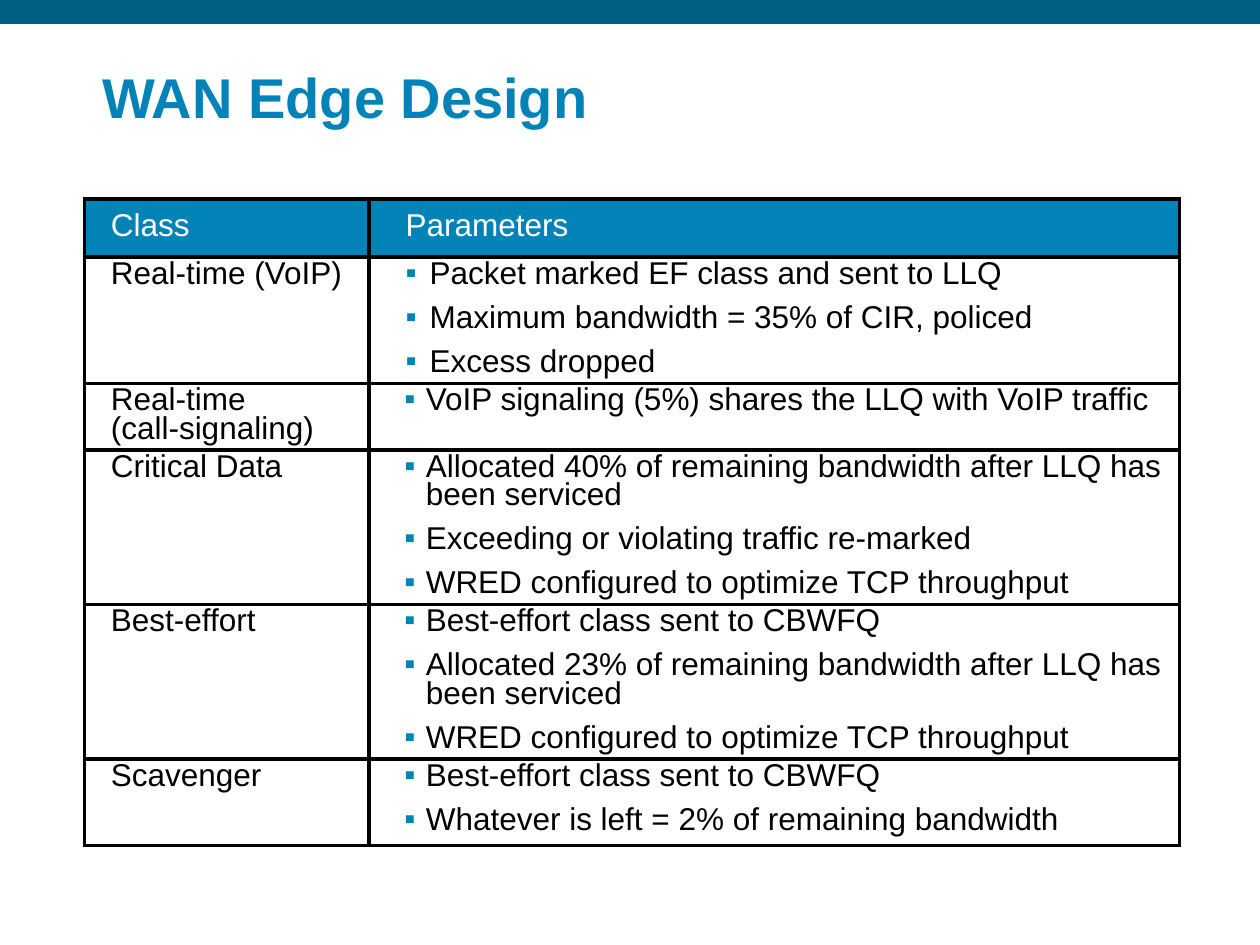
from dataclasses import dataclass

from lxml import etree
from pptx import Presentation, util as u
from pptx.dml.color import RGBColor
from pptx.enum import shapes, text
from pptx.oxml import ns


@dataclass(frozen=True)
class Theme:
    bar: str = "015F85"
    accent: str = "0183B7"
    ink: str = "000000"
    paper: str = "FFFFFF"
    font: str = "Arial"
    title_size: int = 32
    body_size: int = 18
    border_width: float = 2.25


@dataclass(frozen=True)
class TrafficClass:
    name: str
    parameters: tuple[str, ...]
    height: float
    margin: float = 0.36
    hanging: float = -0.17


THEME = Theme()
NAME_MARGIN = 0.12
HEADING = TrafficClass("Class", ("Parameters",), 0.46, 0.39, -0.19)
CLASSES = (
    TrafficClass("Real-time (VoIP)", (
        "Packet marked EF class and sent to LLQ",
        "Maximum bandwidth = 35% of CIR, policed",
        "Excess dropped"), 0.74, 0.39, -0.19),
    TrafficClass("Real-time\n(call-signaling)", (
        "VoIP signaling (5%) shares the LLQ with VoIP traffic",), 0.4),
    TrafficClass("Critical Data", (
        "Allocated 40% of remaining bandwidth after LLQ has been serviced",
        "Exceeding or violating traffic re-marked",
        "WRED configured to optimize TCP throughput"), 0.97),
    TrafficClass("Best-effort", (
        "Best-effort class sent to CBWFQ",
        "Allocated 23% of remaining bandwidth after LLQ has been serviced",
        "WRED configured to optimize TCP throughput"), 0.92),
    TrafficClass("Scavenger", (
        "Best-effort class sent to CBWFQ",
        "Whatever is left = 2% of remaining bandwidth"), 0.69),
)


def add_element(parent, tag: str, **attributes: str):
    return etree.SubElement(parent, ns.qn(tag), attributes)


def add_color(parent, color: str) -> None:
    add_element(add_element(parent, "a:solidFill"), "a:srgbClr", val=color)


def write_text(paragraph, content: str, *, size: int = THEME.body_size,
               color: str = THEME.ink, bold: bool = False,
               line_spacing: float = 0.8, before: float = 0,
               margin: float = 0, hanging: float = 0,
               bullet: bool = False) -> None:
    paragraph.text = content
    paragraph.alignment = text.PP_ALIGN.LEFT
    paragraph.line_spacing = line_spacing
    paragraph.space_before = u.Pt(before)
    properties = paragraph._p.get_or_add_pPr()
    properties.set("marL", str(u.Inches(margin)))
    properties.set("indent", str(u.Inches(hanging)))
    if bullet:
        bullet_color = add_element(properties, "a:buClr")
        add_element(bullet_color, "a:srgbClr", val=THEME.accent)
        add_element(properties, "a:buFont", typeface=THEME.font)
        add_element(properties, "a:buChar", char="▪")
    for run in paragraph.runs:
        run.font.name = THEME.font
        run.font.size = u.Pt(size)
        run.font.bold = bold
        run.font.color.rgb = RGBColor.from_string(color)


def set_insets(target) -> None:
    """Set the margins of a cell or a text frame."""
    target.margin_left = target.margin_right = u.Inches(0.09)
    target.margin_top = target.margin_bottom = u.Inches(0.04)


def style_cell(cell, fill: str, anchor) -> None:
    set_insets(cell)
    cell.vertical_anchor = anchor
    properties = cell._tc.get_or_add_tcPr()
    for side in ("a:lnL", "a:lnR", "a:lnT", "a:lnB"):
        add_color(add_element(properties, side, w=str(u.Pt(THEME.border_width))),
                  THEME.ink)
    cell.fill.solid()
    cell.fill.fore_color.rgb = RGBColor.from_string(fill)


def fill_row(cells, entry: TrafficClass, is_heading: bool) -> None:
    color = THEME.paper if is_heading else THEME.ink
    fill = THEME.accent if is_heading else THEME.paper
    anchor = text.MSO_ANCHOR.MIDDLE if is_heading else text.MSO_ANCHOR.TOP
    for cell in cells:
        style_cell(cell, fill, anchor)
    name_cell, parameter_cell = cells
    write_text(name_cell.text_frame.paragraphs[0], entry.name,
               color=color, margin=NAME_MARGIN)
    frame = parameter_cell.text_frame
    for index, parameter in enumerate(entry.parameters):
        paragraph = frame.add_paragraph() if index else frame.paragraphs[0]
        write_text(paragraph, parameter, color=color,
                   before=THEME.body_size / 2 if index else 0,
                   margin=entry.margin, hanging=entry.hanging,
                   bullet=not is_heading)


def add_bar(slide, width: int) -> None:
    bar = slide.shapes.add_shape(shapes.MSO_SHAPE.RECTANGLE, 0, 0,
                                 width, u.Inches(0.19))
    bar.shadow.inherit = False
    bar.fill.solid()
    bar.fill.fore_color.rgb = RGBColor.from_string(THEME.bar)
    bar.line.fill.background()


def add_title(slide, content: str) -> None:
    title = slide.shapes.title
    title.left, title.top = u.Inches(0.72), u.Inches(0.33)
    title.width, title.height = u.Inches(8.91), u.Inches(0.75)
    frame = title.text_frame
    frame.word_wrap = True
    frame.auto_size = text.MSO_AUTO_SIZE.NONE
    frame.vertical_anchor = text.MSO_ANCHOR.BOTTOM
    set_insets(frame)
    write_text(frame.paragraphs[0], content, size=THEME.title_size,
               color=THEME.accent, bold=True, line_spacing=0.9)


def add_class_table(slide) -> None:
    entries = (HEADING, *CLASSES)
    widths = (2.26, 6.43)
    table = slide.shapes.add_table(
        len(entries), len(widths), u.Inches(0.67), u.Inches(1.58),
        u.Inches(sum(widths)), u.Inches(5.26)).table
    table.first_row = table.horz_banding = False
    for column, width in zip(table.columns, widths):
        column.width = u.Inches(width)
    for row, entry in zip(table.rows, entries):
        row.height = u.Inches(entry.height)
        fill_row(tuple(row.cells), entry, is_heading=entry is HEADING)


def main() -> None:
    deck = Presentation()
    deck.slide_width, deck.slide_height = u.Inches(10), u.Inches(7.5)
    slide = deck.slides.add_slide(deck.slide_layouts[5])
    add_bar(slide, deck.slide_width)
    add_title(slide, "WAN Edge Design")
    add_class_table(slide)
    deck.save("out.pptx")


if __name__ == "__main__":
    main()
